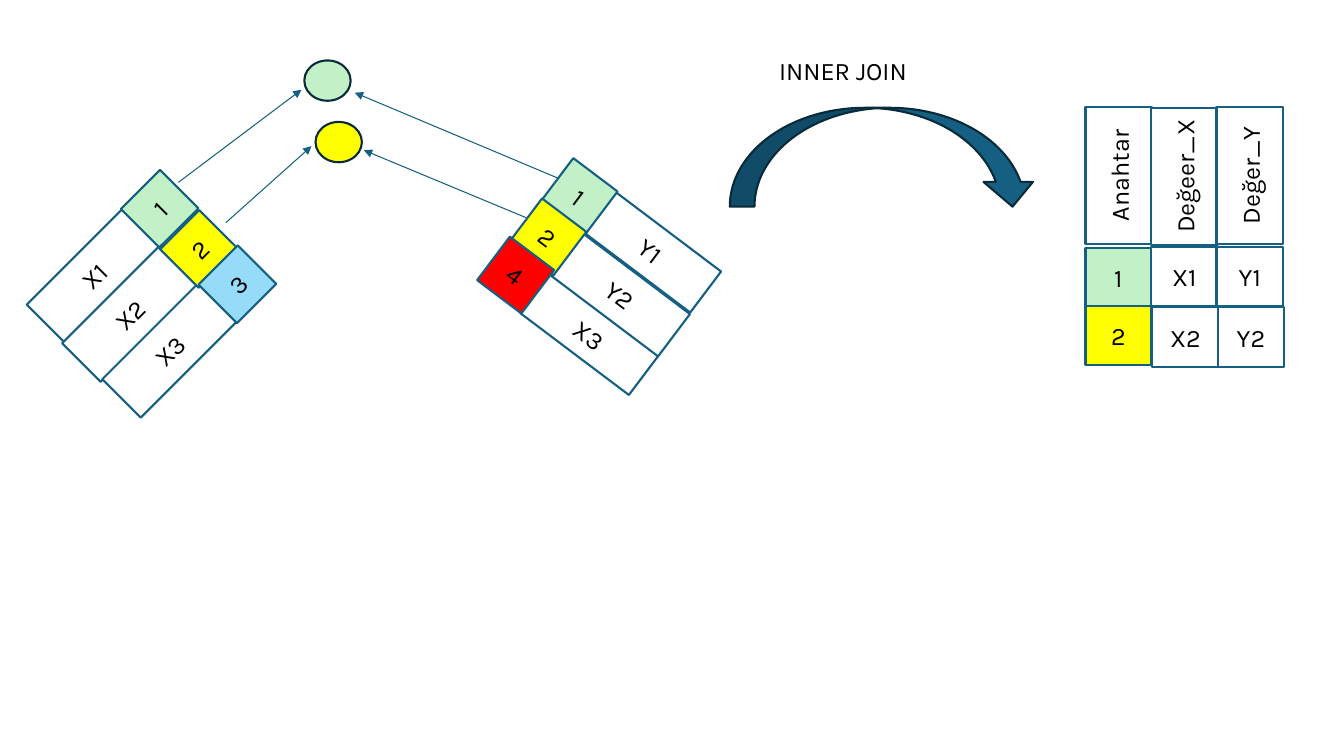
"""Build a slide showing how an inner join matches two keyed tables."""
from lxml.etree import SubElement
from pptx import Presentation
from pptx.dml.color import RGBColor
from pptx.enum.shapes import MSO_CONNECTOR, MSO_SHAPE
from pptx.enum.text import MSO_ANCHOR, MSO_AUTO_SIZE, PP_ALIGN
from pptx.oxml.ns import qn
from pptx.util import Pt

GREEN, YELLOW, BLUE, RED, WHITE = "C2F1C8", "FFFF00", "96DCF8", "FF0000", "FFFFFF"
TEAL, DARK_TEAL, BLACK = "156082", "092A38", "000000"
FONT_FORMAT = {"name": "Karla", "size": Pt(18)}
CELL_FORMAT = {"vertical_anchor": MSO_ANCHOR.MIDDLE, "word_wrap": True}
LABEL_FORMAT = {"word_wrap": True, "auto_size": MSO_AUTO_SIZE.SHAPE_TO_FIT_TEXT}


def write_text(box, text, frame_format, alignment):
    """Write one formatted line of text into a box."""
    frame = box.text_frame
    for name, value in frame_format.items():
        setattr(frame, name, value)
    para = frame.paragraphs[0]
    para.alignment = alignment
    span = para.add_run()
    span.text = text
    for name, value in FONT_FORMAT.items():
        setattr(span.font, name, value)
    span.font.color.rgb = RGBColor.from_string(BLACK)


def draw_shape(parent, kind, place, fill, line=TEAL, text="", rotation=0):
    """Draw a filled, outlined shape with an optional centred text."""
    shape = parent.shapes.add_shape(kind, *[Pt(value) for value in place])
    shape.shadow.inherit = False
    shape.rotation = rotation
    shape.fill.solid()
    shape.fill.fore_color.rgb = RGBColor.from_string(fill)
    shape.line.color.rgb = RGBColor.from_string(line)
    shape.line.width = Pt(1.5)
    if text:
        write_text(shape, text, CELL_FORMAT, PP_ALIGN.CENTER)


deck = Presentation()
deck.slide_width, deck.slide_height = Pt(960), Pt(540)
page = deck.slides.add_slide(deck.slide_layouts[6])

source_tables = [
    (315, [
        ("X1", WHITE, (18.7, 177.8, 96.5, 38.9)),
        ("X2", WHITE, (43.9, 205.2, 97.2, 38.9)),
        ("X3", WHITE, (72.7, 231.1, 96.5, 38.9)),
        ("1", GREEN, (94.3, 129.6, 39.6, 38.9)),
        ("2", YELLOW, (122.4, 158.4, 39.6, 38.9)),
        ("3", BLUE, (149.8, 183.6, 39.6, 38.9)),
    ]),
    (37, [
        ("Y1", WHITE, (415.4, 160.6, 98.6, 36.7)),
        ("Y2", WHITE, (394.6, 191.5, 96.5, 38.2)),
        ("X3", WHITE, (372.2, 221.8, 97.2, 34.6)),
        ("1", GREEN, (393.8, 121, 39.6, 38.9)),
        ("2", YELLOW, (371.5, 149.8, 39.6, 38.9)),
        ("4", RED, (348.5, 177.1, 39.6, 38.9)),
    ]),
]
for rotation, cells in source_tables:
    table_group = page.shapes.add_group_shape()
    for text, fill, place in cells:
        draw_shape(table_group, MSO_SHAPE.RECTANGLE, place, fill, text=text, rotation=rotation)

match_arrows = [
    (127.4, 130.3, 215.3, 64.1),
    (398.9, 127.4, 253.4, 66.2),
    (161.3, 159.1, 222.5, 104.4),
    (375.8, 155.5, 259.9, 107.3),
]
for ends in match_arrows:
    arrow = page.shapes.add_connector(MSO_CONNECTOR.STRAIGHT, *[Pt(value) for value in ends])
    arrow.line.color.rgb = RGBColor.from_string(TEAL)
    arrow.line.width = Pt(0.75)
    SubElement(arrow.line._get_or_add_ln(), qn("a:tailEnd"), type="triangle")
    SubElement(arrow._element.spPr, qn("a:effectLst"))

for left, top, fill in [(217.4, 43.2, GREEN), (225.4, 87.1, YELLOW)]:
    draw_shape(page, MSO_SHAPE.OVAL, (left, top, 33.1, 28.8), fill, DARK_TEAL)

draw_shape(page, MSO_SHAPE.CURVED_DOWN_ARROW, (521.3, 77, 219.6, 70.6), TEAL, DARK_TEAL)
join_label = page.shapes.add_textbox(Pt(549.4), Pt(36), Pt(122.4), Pt(28.8))
write_text(join_label, "INNER JOIN", LABEL_FORMAT, PP_ALIGN.LEFT)

joined_rows = [
    (("1", GREEN), 177.1, ("X1", "Y1"), 822.2, 176.4),
    (("2", YELLOW), 218.9, ("X2", "Y2"), 823, 219.6),
]
for (key, fill), key_top, values, values_left, values_top in joined_rows:
    draw_shape(page, MSO_SHAPE.RECTANGLE, (775.4, key_top, 46.8, 41.8), fill, text=key)
    for column, value in enumerate(values):
        place = (values_left + 46.8 * column, values_top, 47.5, 42.5)
        draw_shape(page, MSO_SHAPE.RECTANGLE, place, WHITE, text=value)

headers = [("Anahtar", 101.5), ("Değeer_X", 102.2), ("Değer_Y", 101.5)]
for column, (header, top) in enumerate(headers):
    place = (750.2 + 46.8 * column, top, 97.9, 47.5)
    draw_shape(page, MSO_SHAPE.RECTANGLE, place, WHITE, text=header, rotation=270)

deck.save("out.pptx")
